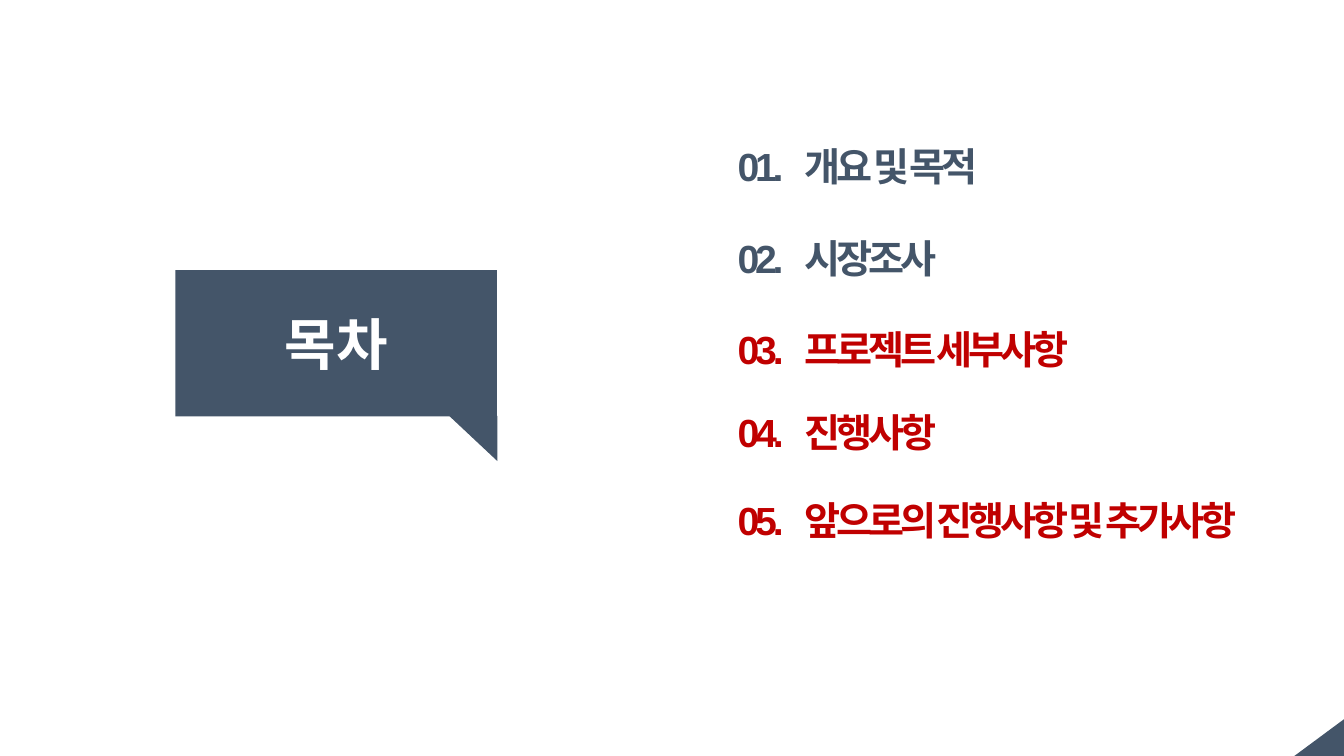
from dataclasses import dataclass
from typing import Any

import pptx
import pptx.dml.color
import pptx.enum.shapes
import pptx.enum.text
import pptx.util

Pt = pptx.util.Pt
RGBColor = pptx.dml.color.RGBColor
SLATE = RGBColor(0x44, 0x55, 0x69)
RED = RGBColor(0xC0, 0x00, 0x00)
WHITE = RGBColor(0xFF, 0xFF, 0xFF)

LIST_LEFT = 519.84
LIST_HEIGHT = 33.84
NUMBER_WIDTH = 48


@dataclass(frozen=True)
class Triangle:
    left: float
    top: float
    width: float
    height: float
    rotation: int
    flips: tuple[str, ...]


@dataclass(frozen=True)
class Entry:
    text: str
    top: float
    width: float
    color: RGBColor


TRIANGLES = (
    Triangle(928.8, 509.04, 26.64, 36, 90, ("flipH", "flipV")),
    Triangle(321.84, 295.92, 32.4, 34.56, 270, ("flipH",)),
)
ENTRIES = (
    Entry("개요 및 목적", 101.52, 232.56, SLATE),
    Entry("시장조사", 167.04, 300.24, SLATE),
    Entry("프로젝트 세부사항", 232.56, 265.68, RED),
    Entry("진행사항", 291.6, 236.88, RED),
    Entry("앞으로의 진행사항 및 추가사항", 354.24, 411.12, RED),
)


def apply(target: Any, values: dict[str, Any]) -> None:
    """Set each named attribute of the target."""
    for name, value in values.items():
        setattr(target, name, value)


def write(p: Any, text: str, size: float, font: str, color: RGBColor) -> Any:
    r = p.add_run()
    r.text = text
    apply(r.font, {"size": Pt(size), "name": font, "bold": True})
    r.font.color.rgb = color
    return r


def add_title(s: Any) -> None:
    sp = s.shapes.title
    apply(sp, {"left": Pt(125.28), "top": Pt(192.96),
               "width": Pt(229.68), "height": Pt(104.4)})
    sp.fill.solid()
    sp.fill.fore_color.rgb = SLATE
    tf = sp.text_frame
    apply(tf, {"auto_size": pptx.enum.text.MSO_AUTO_SIZE.NONE, "word_wrap": True,
               "vertical_anchor": pptx.enum.text.MSO_ANCHOR.MIDDLE})
    p = tf.paragraphs[0]
    p.alignment = pptx.enum.text.PP_ALIGN.CENTER
    write(p, "목차", 40, "Calibri", WHITE)


def add_triangle(s: Any, t: Triangle) -> None:
    sp = s.shapes.add_shape(pptx.enum.shapes.MSO_SHAPE.RIGHT_TRIANGLE,
                            Pt(t.left), Pt(t.top), Pt(t.width), Pt(t.height))
    sp.rotation = t.rotation
    for flip in t.flips:
        sp._element.spPr.xfrm.set(flip, "1")
    sp.shadow.inherit = False
    sp.fill.solid()
    sp.fill.fore_color.rgb = SLATE
    sp.line.fill.background()


def add_entry(s: Any, number: int, entry: Entry) -> None:
    sp = s.shapes.add_textbox(Pt(LIST_LEFT), Pt(entry.top),
                              Pt(entry.width), Pt(LIST_HEIGHT))
    tf = sp.text_frame
    apply(tf, {"word_wrap": True, "margin_top": 0, "margin_bottom": 0,
               "auto_size": pptx.enum.text.MSO_AUTO_SIZE.SHAPE_TO_FIT_TEXT})
    p = tf.paragraphs[0]
    pPr = p._p.get_or_add_pPr()
    pPr.set("marL", str(Pt(NUMBER_WIDTH)))
    pPr.set("indent", str(-Pt(NUMBER_WIDTH)))
    r = write(p, f"{number:02}.\t{entry.text}", 28, "Arial", entry.color)
    r._r.get_or_add_rPr().set("spc", "-300")


def main() -> None:
    prs = pptx.Presentation()
    apply(prs, {"slide_width": Pt(960), "slide_height": Pt(540)})
    s = prs.slides.add_slide(prs.slide_layouts[5])
    add_title(s)
    for triangle in TRIANGLES:
        add_triangle(s, triangle)
    for number, entry in enumerate(ENTRIES, 1):
        add_entry(s, number, entry)
    prs.save("out.pptx")


if __name__ == "__main__":
    main()
